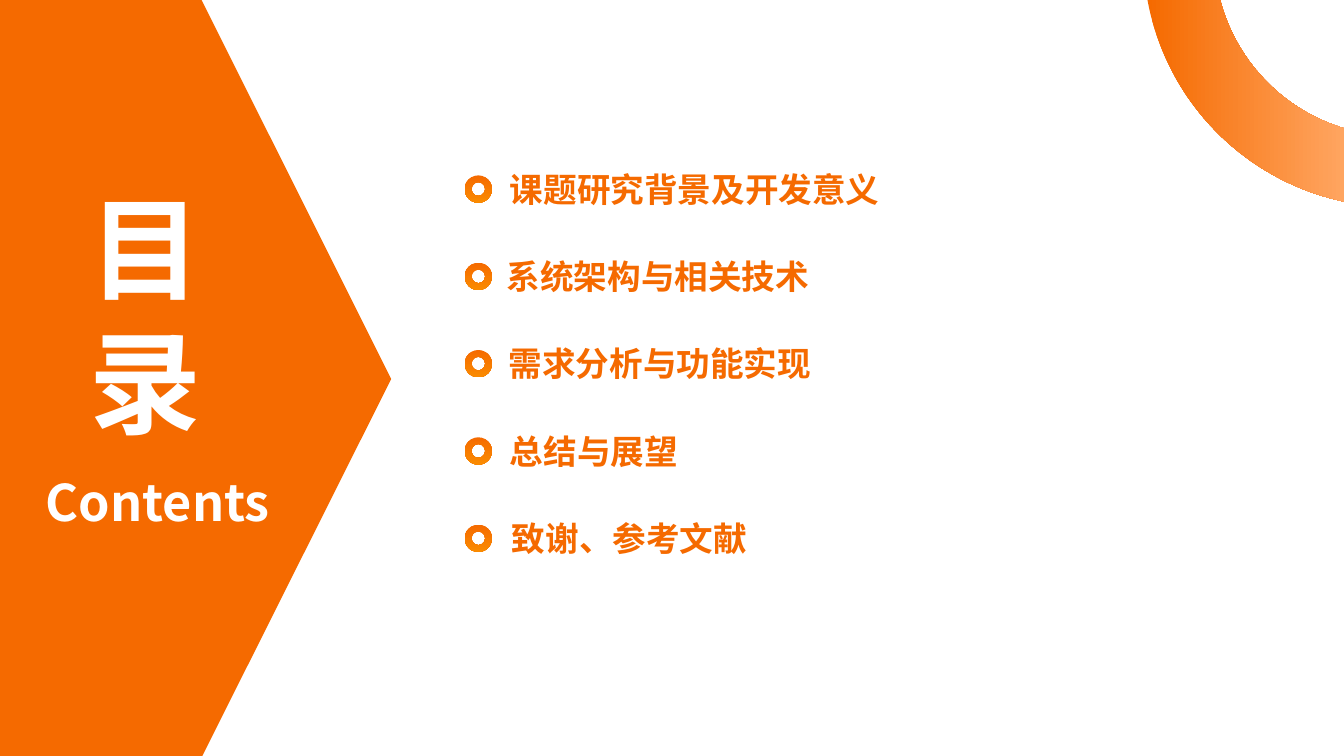
import math
import pptx
import pptx.util
import pptx.dml.color
import pptx.enum.shapes
import pptx.enum.text

Cm = pptx.util.Cm
ORANGE = "F56A00"
WHITE = "FFFFFF"
WIDTH, HEIGHT = 33.87, 19.05


def color(code):
    return pptx.dml.color.RGBColor.from_string(code)


def write(box, text, size, ink, align="LEFT", anchor="TOP", grow=False, line=None):
    frame = box.text_frame
    frame.word_wrap = True
    frame.vertical_anchor = getattr(pptx.enum.text.MSO_ANCHOR, anchor)
    fit = pptx.enum.text.MSO_AUTO_SIZE
    frame.auto_size = fit.SHAPE_TO_FIT_TEXT if grow else fit.NONE
    para = frame.paragraphs[0]
    para.alignment = getattr(pptx.enum.text.PP_ALIGN, align)
    if line:
        para.line_spacing = pptx.util.Pt(line)
    span = para.add_run()
    span.text = text
    span.font.name = "Noto Sans CJK SC"
    span.font.size = pptx.util.Pt(size)
    span.font.bold = True
    span.font.color.rgb = color(ink)


deck = pptx.Presentation()
deck.slide_width = Cm(WIDTH)
deck.slide_height = Cm(HEIGHT)
page = deck.slides.add_slide(deck.slide_layouts[5])

center_x, center_y = 35.2, -1.17
ring_points = []
for radius, step in ((6.39, 1), (4.6, -1)):
    first = math.asin(-center_y / radius)
    last = math.acos((center_x - WIDTH) / radius)
    arc = []
    for index in range(41):
        angle = first + (last - first) * index / 40
        x = center_x - radius * math.cos(angle)
        y = center_y + radius * math.sin(angle)
        arc.append((x, y))
    ring_points += arc[::step]

arrow_points = [(0, 0), (5.08, 0), (9.86, 9.55), (5.1, HEIGHT), (0, HEIGHT)]

outlines = []
for points in (ring_points, arrow_points):
    corners = [(Cm(x), Cm(y)) for x, y in points]
    builder = page.shapes.build_freeform(*corners[0])
    builder.add_line_segments(corners[1:], close=True)
    outline = builder.convert_to_shape()
    outline.shadow.inherit = False
    outline.line.fill.background()
    outlines.append(outline)
ring, arrow = outlines
arrow.fill.solid()
arrow.fill.fore_color.rgb = color(ORANGE)

title = page.shapes.title
title.left, title.top, title.width, title.height = Cm(1.37), Cm(4.39), Cm(4.62), Cm(7.09)
write(title, "目录", 80, WHITE, align="CENTER", grow=True, line=96)
arrow.element.addnext(title.element)

subtitle = page.shapes.add_textbox(Cm(0.38), Cm(11.73), Cm(7.19), Cm(1.8))
write(subtitle, "Contents", 36, WHITE, align="CENTER", grow=True, line=43.5)

chapters = [
    ("课题研究背景及开发意义", 12.6, 17.5),
    ("系统架构与相关技术", 12.52, 18.19),
    ("需求分析与功能实现", 12.57, 16.56),
    ("总结与展望", 12.6, 16.74),
    ("致谢、参考文献", 12.65, 17.48),
]
gradients = [(ring, "FFA560", 0)]
for row, (text, left, width) in enumerate(chapters):
    offset = row * 2.2
    group = page.shapes.add_group_shape()
    bullet = group.shapes.add_shape(
        pptx.enum.shapes.MSO_SHAPE.DONUT, Cm(11.71), Cm(4.42 + offset), Cm(0.69), Cm(0.69))
    bullet.shadow.inherit = False
    bullet.line.fill.background()
    gradients.append((bullet, "FA8B01", 270))
    label = group.shapes.add_textbox(Cm(left), Cm(3.86 + offset), Cm(width), Cm(1.8))
    write(label, text, 24, ORANGE, anchor="MIDDLE")

for shape, end_color, angle in gradients:
    shape.fill.gradient()
    shape.fill.gradient_angle = angle
    for stop, code in zip(shape.fill.gradient_stops, (ORANGE, end_color)):
        stop.color.rgb = color(code)

deck.save("out.pptx")
